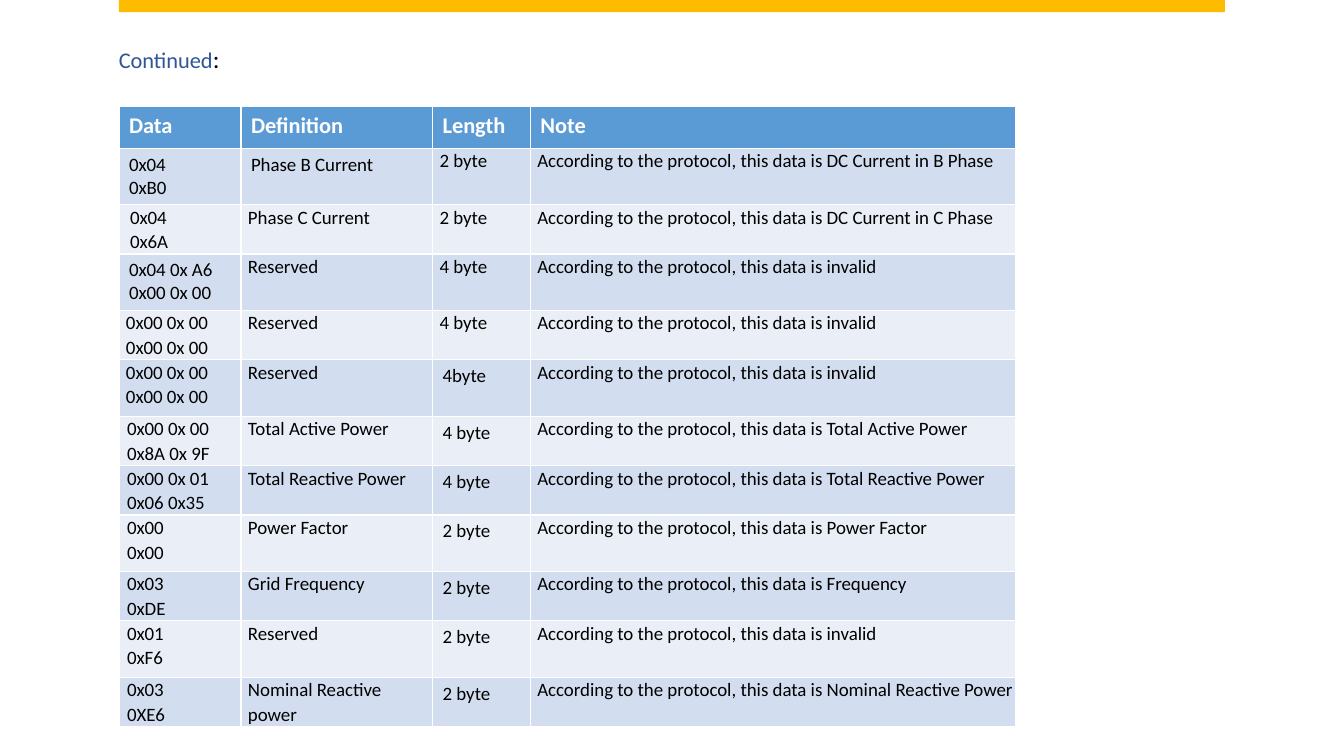
from pptx import Presentation
from pptx.dml.color import RGBColor
from pptx.enum.shapes import MSO_SHAPE
from pptx.enum.text import MSO_ANCHOR
from pptx.util import Inches, Pt

RECT = MSO_SHAPE.RECTANGLE
MIDDLE = MSO_ANCHOR.MIDDLE
GOLD = RGBColor(0xFF, 0xBB, 0x00)
NAVY = RGBColor(0x2F, 0x55, 0x97)
BLUE = RGBColor(0x5B, 0x9B, 0xD5)
BANDS = [RGBColor(0xEA, 0xEF, 0xF7), RGBColor(0xD2, 0xDE, 0xEF)]
WHITE = RGBColor(0xFF, 0xFF, 0xFF)
BLACK = RGBColor(0, 0, 0)

FONT = "Calibri"
LEFT, TOP = 1.18, 1.06
COLS = [1.21, 1.9, 0.97, 4.81]
HEAD, LOW, TALL = 0.41, 0.49, 0.56
LEAD = "According to the protocol, this data is "

HEADS = ["Data", "Definition", "Length", "Note"]
# Data, definition, length, end of note, row height
ROWS = [
    ("0x04\n0xB0", "Phase B Current", "2 byte", "DC Current in B Phase", TALL),
    ("0x04\n0x6A", "Phase C Current", "2 byte", "DC Current in C Phase", LOW),
    ("0x04 0x A6\n0x00 0x 00", "Reserved", "4 byte", "invalid", TALL),
    ("0x00 0x 00\n0x00 0x 00", "Reserved", "4 byte", "invalid", LOW),
    ("0x00 0x 00\n0x00 0x 00", "Reserved", "4byte", "invalid", TALL),
    ("0x00 0x 00\n0x8A 0x 9F", "Total Active Power", "4 byte", "Total Active Power", LOW),
    ("0x00 0x 01\n0x06 0x35", "Total Reactive Power", "4 byte", "Total Reactive Power", LOW),
    ("0x00\n0x00", "Power Factor", "2 byte", "Power Factor", TALL),
    ("0x03\n0xDE", "Grid Frequency", "2 byte", "Frequency", LOW),
    ("0x01\n0xF6", "Reserved", "2 byte", "invalid", TALL),
    ("0x03\n0XE6", "Nominal Reactive power", "2 byte", "Nominal Reactive Power", LOW),
]
# Cells that keep the default margins, as (row, column)
LOOSE = {(1, 0), (3, 0), (1, 1)} | {(row, 2) for row in range(5, 12)}
# Left margins of the data cells that have tight margins
INSETS = {2: 0.11, 4: 0.07, 5: 0.07}


def style(run, size, color, bold=False):
    """Set the font of one run."""
    run.font.name = FONT
    run.font.size = Pt(size)
    run.font.color.rgb = color
    run.font.bold = bold


def fill_cell(cell, text, color, size, ink, bold=False):
    """Write text into a table cell and colour it."""
    cell.text_frame.text = text
    cell.fill.solid()
    cell.fill.fore_color.rgb = color
    for para in cell.text_frame.paragraphs:
        for run in para.runs:
            style(run, size, ink, bold)


deck = Presentation()
deck.slide_width, deck.slide_height = Inches(13.33), Inches(7.5)
slide = deck.slides.add_slide(deck.slide_layouts[6])

bar = slide.shapes.add_shape(RECT, Inches(LEFT), 0, Inches(10.97), Inches(0.12))
bar.shadow.inherit = False
bar.fill.solid()
bar.fill.fore_color.rgb = GOLD
bar.line.fill.background()

heights = [HEAD] + [row[-1] for row in ROWS]
table = slide.shapes.add_table(
    len(heights), len(COLS), Inches(LEFT), Inches(TOP),
    Inches(sum(COLS)), Inches(sum(heights))).table
for col, width in zip(table.columns, COLS):
    col.width = Inches(width)
for line, height in zip(table.rows, heights):
    line.height = Inches(height)

for c, text in enumerate(HEADS):
    fill_cell(table.cell(0, c), text, BLUE, 16, WHITE, True)

for r, (data, name, length, note, height) in enumerate(ROWS, 1):
    for c, text in enumerate([data, name, length, LEAD + note]):
        cell = table.cell(r, c)
        fill_cell(cell, text, BANDS[r % 2], 13.5, BLACK)
        if (r, c) in LOOSE:
            continue
        cell.margin_top = cell.margin_right = cell.margin_bottom = 0
        cell.margin_left = Inches(INSETS.get(r, 0.08) if c == 0 else 0.07)
        for para in cell.text_frame.paragraphs:
            para.line_spacing = 1.07
            if c in (1, 3):
                para.space_before = Pt(3)

title = slide.shapes.add_textbox(Inches(1.08), Inches(0.38), Inches(9.08), Inches(0.4))
frame = title.text_frame
frame.word_wrap = True
frame.vertical_anchor = MIDDLE
for text, size, color in [("Continued", 16, NAVY), (":", 18, BLACK)]:
    run = frame.paragraphs[0].add_run()
    run.text = text
    style(run, size, color)

deck.save("out.pptx")
